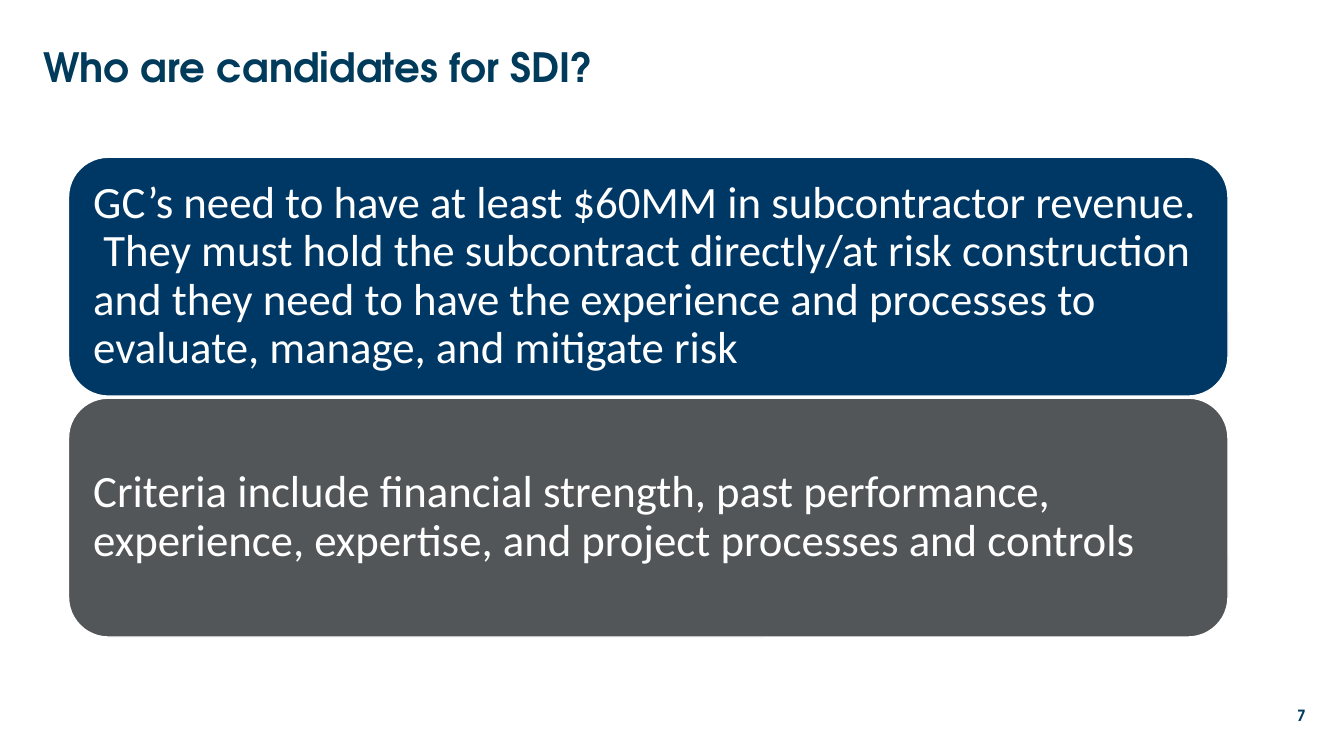
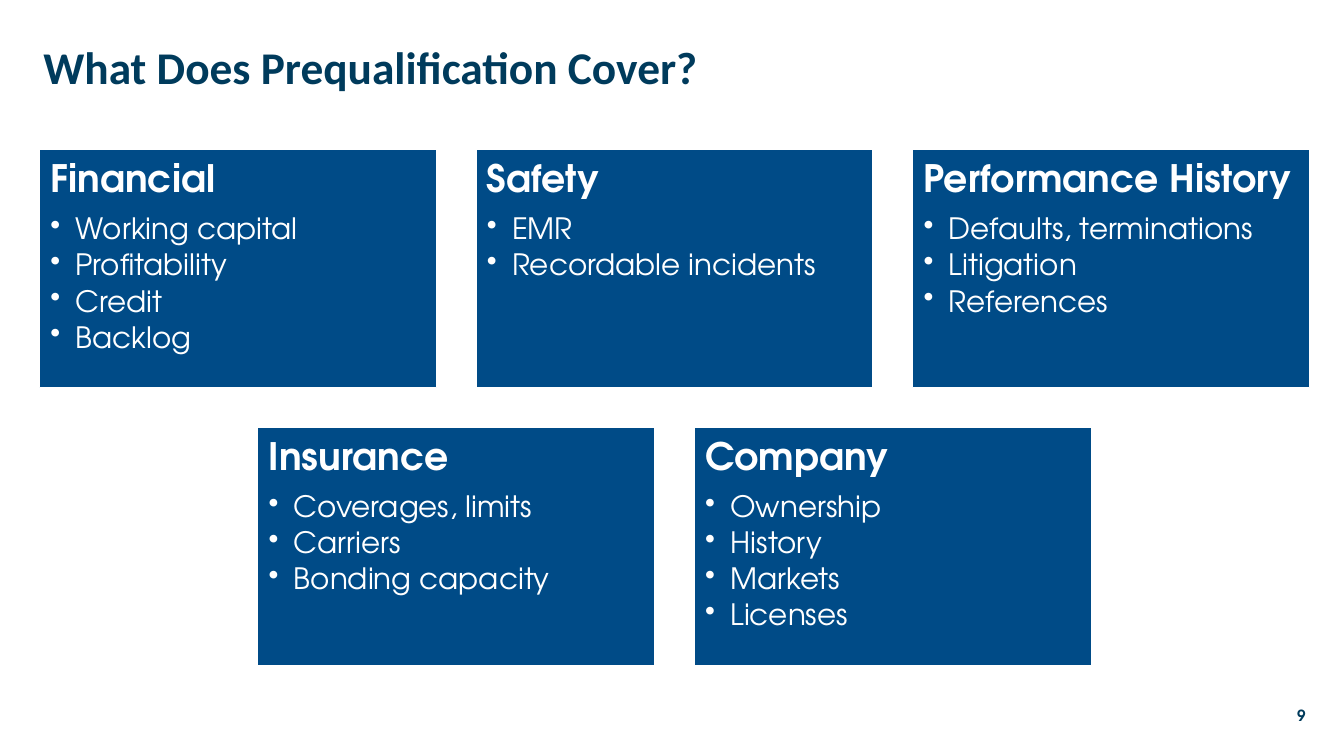
from dataclasses import dataclass

from lxml import etree
from pptx import Presentation, util as u
from pptx.dml.color import RGBColor
from pptx.enum import shapes, text
from pptx.oxml import ns


# Colours, fonts and type sizes
@dataclass(frozen=True)
class Theme:
    ink: str = "003B5C"
    navy: str = "003865"
    grey: str = "535659"
    blue: str = "004B87"
    white: str = "FFFFFF"
    display: str = "TeX Gyre Adventor"
    plain: str = "Calibri"
    panel: float = 32
    heading: float = 27
    bullet: float = 21
    number: float = 11
    leading: float = 0.9


T = Theme()
TITLE_BOX = (0.33, 0.4, 11.45, 0.58)
NUMBER_BOX = (12.37, 6.9, 0.68, 0.4)
PANEL_BOX = (0.68, 1.56, 11.5, 4.76)
CARD_BOX = (0.39, 1.48, 12.6, 5.12)


def inches(box):
    return [u.Inches(v) for v in box]


def rgb(colour):
    return RGBColor.from_string(colour)


def style(p, font, size, colour, bold=False):
    p.font.name, p.font.size, p.font.bold = font, u.Pt(size), bold
    p.font.color.rgb = rgb(colour)


def add_pr(p, tag, **attrs):
    return etree.SubElement(p._p.get_or_add_pPr(), ns.qn(tag), attrs)


def space_after(p, percent):
    """Paragraph spacing as a share of the type size."""
    etree.SubElement(add_pr(p, "a:spcAft"), ns.qn("a:spcPct"),
                     val=str(percent * 1000))


def add_bullet(p, indent=0.25):
    pPr = p._p.get_or_add_pPr()
    pPr.set("marL", str(u.Inches(indent)))
    pPr.set("indent", str(-u.Inches(indent)))
    add_pr(p, "a:buChar", char="•")


# Title and slide number
def set_title_layout(prs):
    layout = prs.slide_layouts.get_by_name("Title Only")
    title = next(iter(layout.placeholders))
    title.left, title.top, title.width, title.height = inches(TITLE_BOX)
    return layout


def new_slide(prs, layout, title, number, font, size):
    s = prs.slides.add_slide(layout)
    tf = s.shapes.title.text_frame
    tf.text = title
    tf.auto_size = text.MSO_AUTO_SIZE.NONE
    tf.vertical_anchor = text.MSO_ANCHOR.MIDDLE
    p = tf.paragraphs[0]
    p.alignment, p.line_spacing = text.PP_ALIGN.LEFT, T.leading
    style(p, font, size, T.ink, bold=True)

    tf = s.shapes.add_textbox(*inches(NUMBER_BOX)).text_frame
    tf.text, tf.word_wrap = str(number), True
    tf.vertical_anchor = text.MSO_ANCHOR.MIDDLE
    p = tf.paragraphs[0]
    p.alignment = text.PP_ALIGN.RIGHT
    style(p, T.display, T.number, T.ink, bold=True)
    return s


# Filled block that holds its own text
def add_block(s, kind, box, fill, margin, anchor, lines):
    sp = s.shapes.add_shape(kind, *inches(box))
    sp.shadow.inherit = False
    sp.fill.solid()
    sp.fill.fore_color.rgb = rgb(fill)
    sp.line.color.rgb, sp.line.width = rgb(T.white), u.Pt(1)
    tf = sp.text_frame
    tf.word_wrap, tf.vertical_anchor = True, anchor
    tf.margin_left = tf.margin_right = u.Inches(margin)
    tf.margin_top = tf.margin_bottom = u.Inches(margin)
    tf.text = "\n".join(lines)
    for p in tf.paragraphs:
        p.alignment = text.PP_ALIGN.LEFT
    return tf.paragraphs


# Rounded panels stacked in a box
def stack_panels(s, box, panels, gap=0.02):
    left, top, width, height = box
    h = (height - gap * (len(panels) - 1)) / len(panels)
    for i, (fill, line) in enumerate(panels):
        p, = add_block(s, shapes.MSO_SHAPE.ROUNDED_RECTANGLE,
                       (left, top + i * (h + gap), width, h), fill,
                       0.13, text.MSO_ANCHOR.MIDDLE, [line])
        space_after(p, 35)
        p.line_spacing = T.leading
        style(p, T.plain, T.panel, T.white)


# Card with a heading and bullets
def add_card(s, box, heading, items):
    head, *bullets = add_block(s, shapes.MSO_SHAPE.RECTANGLE, box, T.blue,
                               0.11, text.MSO_ANCHOR.TOP, [heading, *items])
    space_after(head, 35)
    head.line_spacing = T.leading
    style(head, T.display, T.heading, T.white, bold=True)
    for p in bullets:
        p.level = 1
        space_after(p, 15)
        add_bullet(p)
        p.line_spacing = T.leading
        style(p, T.display, T.bullet, T.white)


# Rows of equal cards, each row centred in the box
def card_grid(s, box, rows, gap=0.39):
    left, top, width, height = box
    cols = max(len(row) for row in rows)
    w = (width - gap * (cols - 1)) / cols
    h = (height - gap * (len(rows) - 1)) / len(rows)
    for r, row in enumerate(rows):
        start = left + (cols - len(row)) * (w + gap) / 2
        for c, (heading, items) in enumerate(row.items()):
            cell = (start + c * (w + gap), top + r * (h + gap), w, h)
            add_card(s, cell, heading, items)


PANELS = [
    (T.navy, "GC’s need to have at least $60MM in subcontractor revenue. "
             " They must hold the subcontract directly/at risk construction "
             "and they need to have the experience and processes to "
             "evaluate, manage, and mitigate risk"),
    (T.grey, "Criteria include financial strength, past performance, "
             "experience, expertise, and project processes and controls"),
]
CARDS = [
    {"Financial": ["Working capital", "Profitability", "Credit", "Backlog"],
     "Safety": ["EMR", "Recordable incidents"],
     "Performance History": ["Defaults, terminations", "Litigation",
                             "References"]},
    {"Insurance": ["Coverages, limits", "Carriers", "Bonding capacity"],
     "Company": ["Ownership", "History", "Markets", "Licenses"]},
]


def main():
    prs = Presentation()
    prs.slide_width, prs.slide_height = u.Inches(13.33), u.Inches(7.5)
    layout = set_title_layout(prs)
    s = new_slide(prs, layout, "Who are candidates for SDI?", 7,
                  T.display, 28.8)
    stack_panels(s, PANEL_BOX, PANELS)
    s = new_slide(prs, layout, "What Does Prequalification Cover?", 9,
                  T.plain, 32.4)
    card_grid(s, CARD_BOX, CARDS)
    prs.save("out.pptx")


if __name__ == "__main__":
    main()
